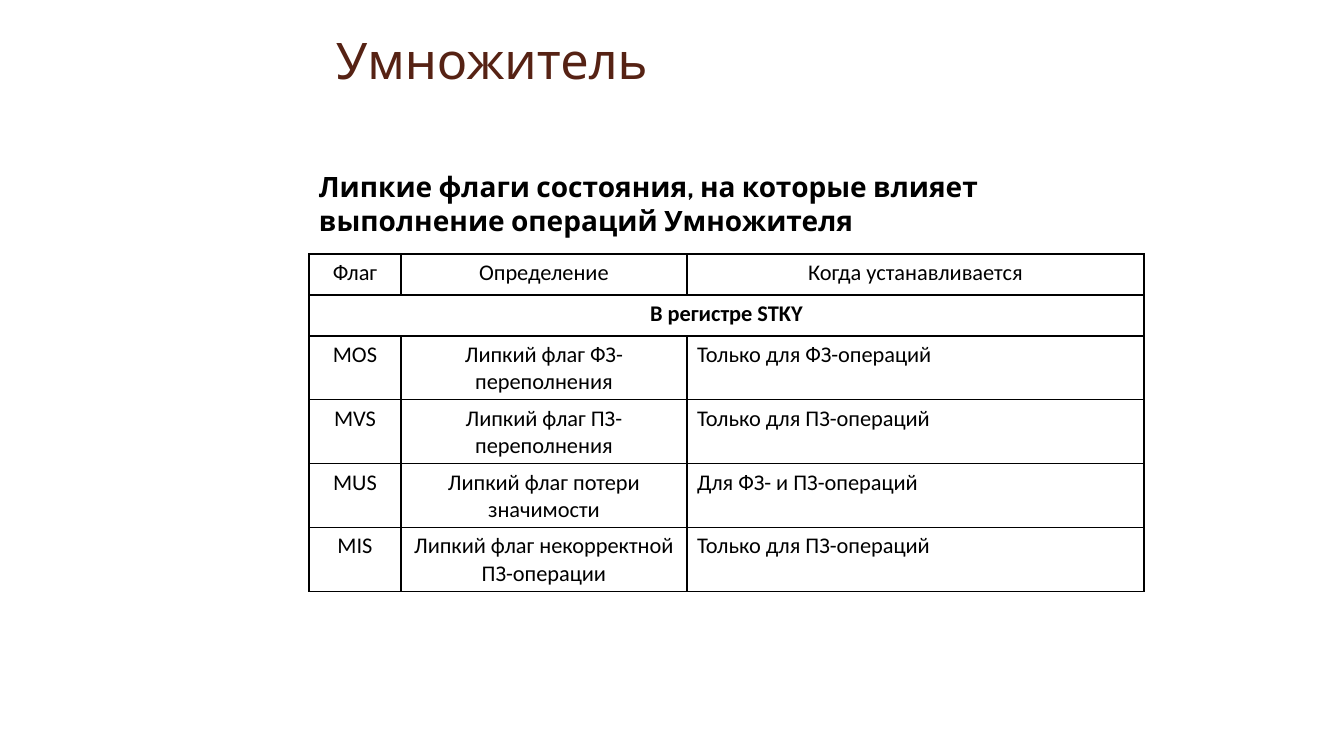
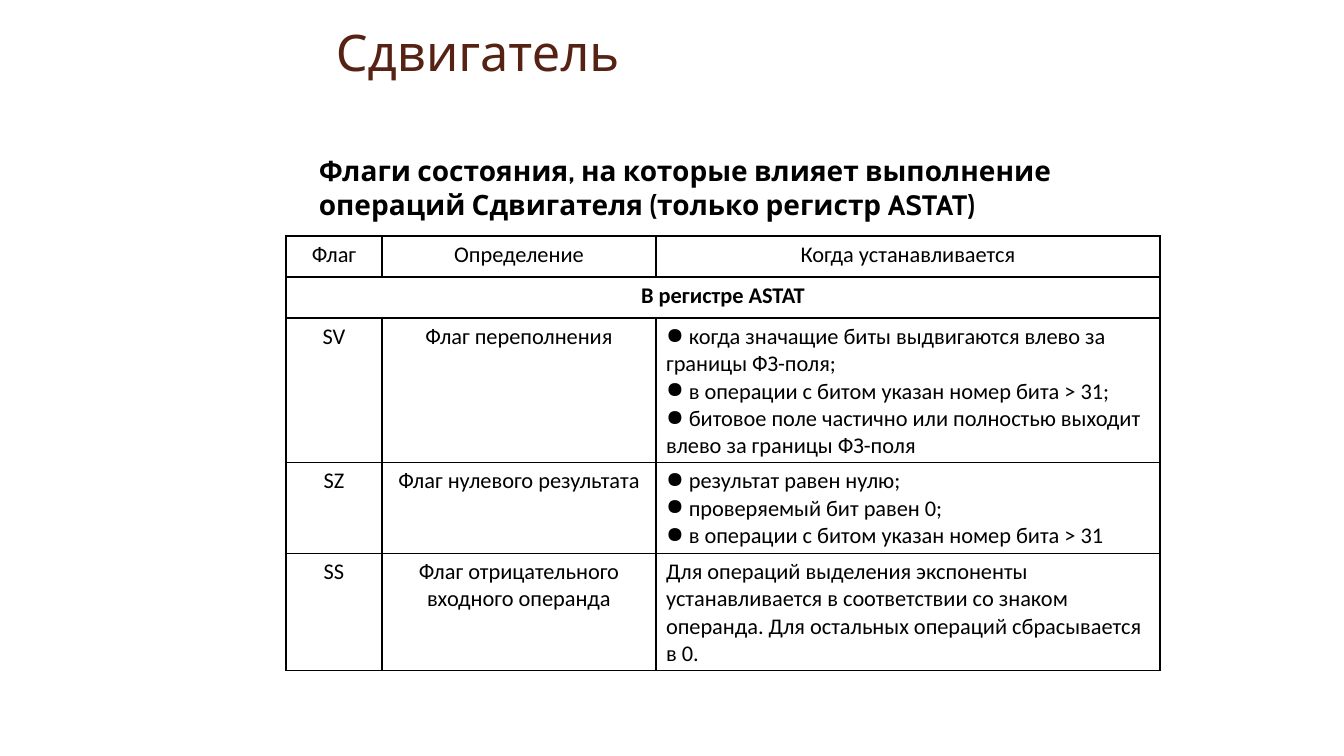
from dataclasses import dataclass

from lxml.etree import SubElement
from pptx import Presentation
from pptx.dml.color import RGBColor
from pptx.enum.text import MSO_ANCHOR, PP_ALIGN
from pptx.oxml import parse_xml
from pptx.oxml.ns import nsdecls, qn
from pptx.util import Emu, Pt

EMU_PER_PX = 914400 / 100.8
COLORS = {"title": "562214", "text": "000000", "page": "FFFFFF"}

# Shared text styles
TITLE = {"name": "Cabin", "size": 36, "bold": False, "color": "title"}
SUBTITLE = {"name": "Cabin", "size": 20, "bold": True, "color": "text"}
BODY = {"name": "Calibri", "size": 16, "bold": False, "color": "text"}
SECTION = {**BODY, "bold": True}

HEADERS = ("Флаг", "Определение", "Когда устанавливается")
TITLE_LEFT, TITLE_TOP, TITLE_WIDTH = 326, 16, 816
SUBTITLE_LEFT, SUBTITLE_WIDTH, SUBTITLE_HEIGHT = 309, 827, 78
ROW_HEIGHT = 41
BULLET_INDENT = -7


@dataclass(frozen=True)
class Flag:
    name: str
    meaning: str
    conditions: tuple[str, ...]
    bulleted: bool = False


@dataclass(frozen=True)
class FlagPage:
    title: str
    title_height: int
    subtitle: str
    subtitle_top: int
    section: str
    table_left: int
    table_top: int
    table_height: int
    columns: tuple[int, int, int]
    flags: tuple[Flag, ...]


PAGES = (
    FlagPage(
        title="Умножитель",
        title_height=79,
        subtitle="Липкие флаги состояния, на которые влияет выполнение операций Умножителя",
        subtitle_top=165,
        section="В регистре STKY",
        table_left=309,
        table_top=254,
        table_height=337,
        columns=(92, 286, 457),
        flags=(
            Flag("MOS", "Липкий флаг ФЗ-переполнения", ("Только для ФЗ-операций",)),
            Flag("MVS", "Липкий флаг ПЗ-переполнения", ("Только для ПЗ-операций",)),
            Flag("MUS", "Липкий флаг потери значимости", ("Для ФЗ- и ПЗ-операций",)),
            Flag("MIS", "Липкий флаг некорректной ПЗ-операции", ("Только для ПЗ-операций",)),
        ),
    ),
    FlagPage(
        title="Сдвигатель",
        title_height=71,
        subtitle="Флаги состояния, на которые влияет выполнение операций Сдвигателя "
                 "(только регистр ASTAT)",
        subtitle_top=149,
        section="В регистре ASTAT",
        table_left=286,
        table_top=236,
        table_height=434,
        columns=(96, 274, 504),
        flags=(
            Flag("SV", "Флаг переполнения", (
                " когда значащие биты выдвигаются влево за границы ФЗ-поля;",
                " в операции с битом указан номер бита > 31;",
                " битовое поле частично или полностью выходит влево за границы ФЗ-поля",
            ), bulleted=True),
            Flag("SZ", "Флаг нулевого результата", (
                " результат равен нулю;",
                " проверяемый бит равен 0;",
                " в операции с битом указан номер бита > 31",
            ), bulleted=True),
            Flag("SS", "Флаг отрицательного входного операнда", (
                "Для операций выделения экспоненты устанавливается в соответствии со знаком "
                "операнда. Для остальных операций сбрасывается в 0.",
            )),
        ),
    ),
)


def px(length: int) -> Emu:
    return Emu(round(length * EMU_PER_PX))


def add_span(para, text: str, style: dict) -> None:
    span = para.add_run()
    span.text = text
    values = {"name": style["name"], "size": Pt(style["size"]), "bold": style["bold"]}
    for attribute, value in values.items():
        setattr(span.font, attribute, value)
    span.font.color.rgb = RGBColor.from_string(COLORS[style["color"]])


def add_text(page, text: str, area: tuple[int, int, int, int], style: dict,
             anchor=MSO_ANCHOR.TOP, line_spacing: float = 1.0) -> None:
    box = page.shapes.add_textbox(*map(px, area))
    box.text_frame.word_wrap = True
    box.text_frame.vertical_anchor = anchor
    para = box.text_frame.paragraphs[0]
    para.line_spacing = line_spacing
    add_span(para, text, style)


def add_bullet(para) -> None:
    properties = para._p.get_or_add_pPr()
    properties.set("marL", "0")
    properties.set("indent", str(px(BULLET_INDENT)))
    color = SubElement(properties, qn("a:buClr"))
    SubElement(color, qn("a:srgbClr")).set("val", COLORS["text"])
    SubElement(properties, qn("a:buChar")).set("char", "●")


def draw_borders(cell) -> None:
    cell.fill.background()
    properties = cell._tc.get_or_add_tcPr()
    for position, side in enumerate(("lnL", "lnR", "lnT", "lnB")):
        properties.insert(position, parse_xml(
            f'<a:{side} {nsdecls("a")} w="{Pt(1)}"><a:solidFill>'
            f'<a:srgbClr val="{COLORS["text"]}"/></a:solidFill></a:{side}>'))


def fill_cell(cell, lines: tuple[str, ...], style: dict = BODY,
              align=PP_ALIGN.CENTER, bulleted: bool = False) -> None:
    frame = cell.text_frame
    for index, line in enumerate(lines):
        para = frame.add_paragraph() if index else frame.paragraphs[0]
        para.alignment = align
        if bulleted:
            add_bullet(para)
        add_span(para, line, style)


def add_flag_table(page, content: FlagPage) -> None:
    frame = page.shapes.add_table(
        len(content.flags) + 2, len(HEADERS), px(content.table_left), px(content.table_top),
        px(sum(content.columns)), px(content.table_height))
    table = frame.table
    table.first_row = table.horz_banding = False
    for column, width in zip(table.columns, content.columns):
        column.width = px(width)
    for row in table.rows:
        row.height = px(ROW_HEIGHT)
    frame.height = px(content.table_height)
    for cell in table.iter_cells():
        draw_borders(cell)

    # Header and section rows
    for index, header in enumerate(HEADERS):
        fill_cell(table.cell(0, index), (header,))
    table.cell(1, 0).merge(table.cell(1, len(HEADERS) - 1))
    fill_cell(table.cell(1, 0), (content.section,), SECTION)

    # Flag rows
    for index, flag in enumerate(content.flags, start=2):
        fill_cell(table.cell(index, 0), (flag.name,))
        fill_cell(table.cell(index, 1), (flag.meaning,))
        fill_cell(table.cell(index, 2), flag.conditions,
                  align=PP_ALIGN.LEFT, bulleted=flag.bulleted)


def add_page(deck, content: FlagPage) -> None:
    page = deck.slides.add_slide(deck.slide_layouts[6])
    page.background.fill.solid()
    page.background.fill.fore_color.rgb = RGBColor.from_string(COLORS["page"])
    add_text(page, content.title, (TITLE_LEFT, TITLE_TOP, TITLE_WIDTH, content.title_height),
             TITLE, MSO_ANCHOR.BOTTOM, 0.9)
    add_text(page, content.subtitle,
             (SUBTITLE_LEFT, content.subtitle_top, SUBTITLE_WIDTH, SUBTITLE_HEIGHT), SUBTITLE)
    add_flag_table(page, content)


def main() -> None:
    deck = Presentation()
    deck.slide_width, deck.slide_height = px(1344), px(756)
    for content in PAGES:
        add_page(deck, content)
    deck.save("out.pptx")


if __name__ == "__main__":
    main()
